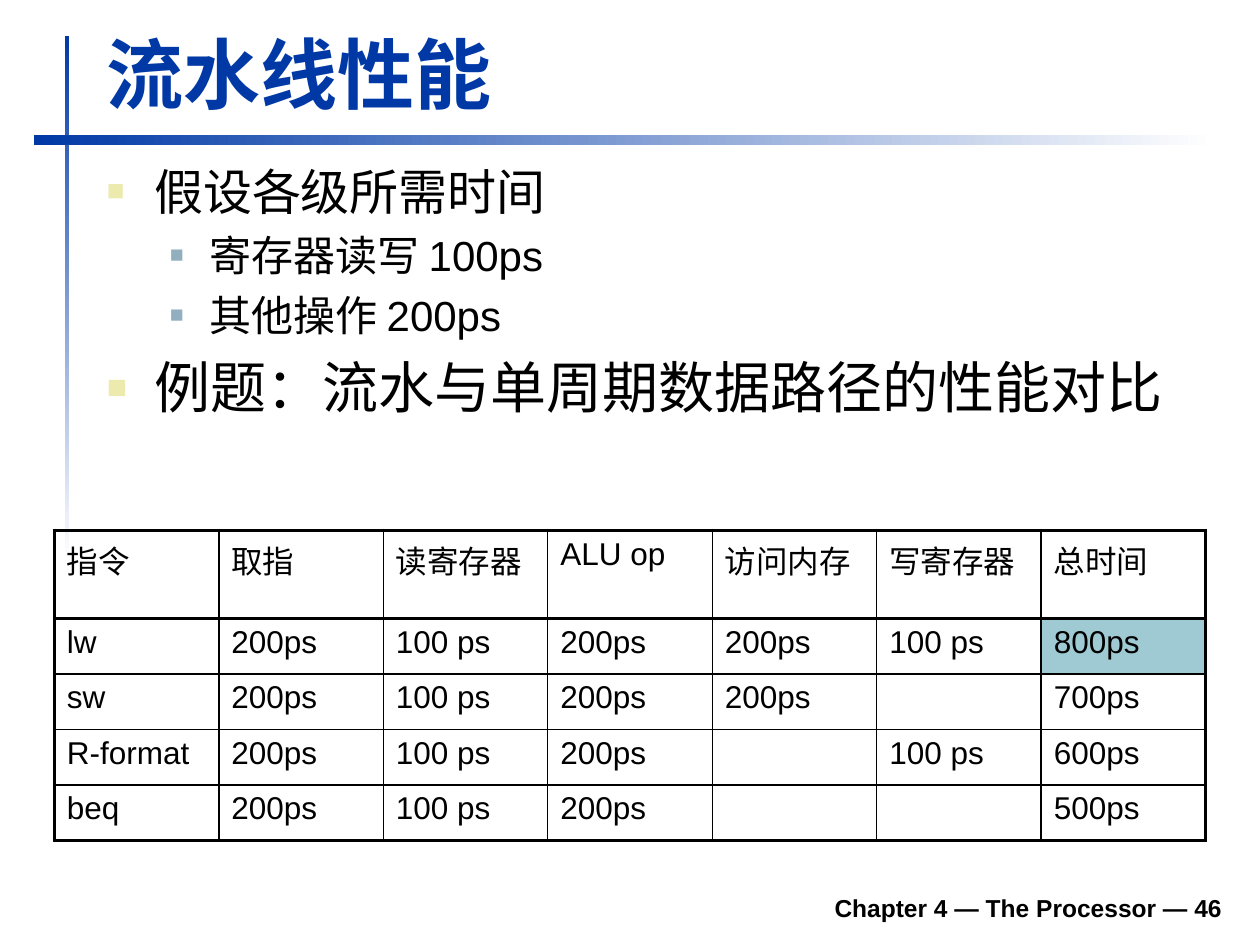
from pptx import Presentation
from pptx.dml.color import RGBColor
from pptx.enum import shapes, text
from pptx.oxml import parse_xml
from pptx.oxml.ns import nsdecls
from pptx.util import Pt

HUES = {"blue": "0039A6", "white": "FFFFFF", "black": "000000",
        "sand": "ECEAAC", "steel": "91AFBF", "teal": "9FCAD3"}
FACE = "Arial"

# Bullet levels: left indent, hang, colour, size in percent
LEVELS = [(27, 27, "sand", 60), (58.5, 22.5, "steel", 55)]
POINTS = [
    (0, 28, "假设各级所需时间"),
    (1, 24, "寄存器读写 100ps"),
    (1, 24, "其他操作 200ps"),
    (0, 32, "例题：流水与单周期数据路径的性能对比"),
]
ROWS = [
    ["指令", "取指", "读寄存器", "ALU op", "访问内存", "写寄存器", "总时间"],
    ["lw", "200ps", "100 ps", "200ps", "200ps", "100 ps", "800ps"],
    ["sw", "200ps", "100 ps", "200ps", "200ps", "", "700ps"],
    ["R-format", "200ps", "100 ps", "200ps", "", "100 ps", "600ps"],
    ["beq", "200ps", "100 ps", "200ps", "", "", "500ps"],
]


def color(name):
    return RGBColor.from_string(HUES[name])


def style(par, size, hue="black", bold=False):
    par.font.name = FACE
    par.font.size = Pt(size)
    par.font.bold = bold
    par.font.color.rgb = color(hue)


def add_bar(slide, box, angle):
    """Thin bar that fades from blue to white."""
    bar = slide.shapes.add_shape(shapes.MSO_SHAPE.RECTANGLE, *map(Pt, box))
    bar.shadow.inherit = False
    bar.line.fill.background()
    bar.fill.gradient()
    bar.fill.gradient_angle = angle
    for stop, hue, pos in zip(bar.fill.gradient_stops, ("blue", "white"), (0, 1)):
        stop.color.rgb = color(hue)
        stop.position = pos


def add_frame(slide, box, anchor):
    frame = slide.shapes.add_textbox(*map(Pt, box)).text_frame
    frame.word_wrap = True
    frame.vertical_anchor = anchor
    return frame


def add_line(slide, box, words, size, hue, align):
    """One bold line that sits at the bottom of its box."""
    par = add_frame(slide, box, text.MSO_ANCHOR.BOTTOM).paragraphs[0]
    par.text = words
    par.alignment = align
    style(par, size, hue, True)


def add_bullet(par, level):
    left, hang, hue, pct = LEVELS[level]
    par.level = level
    props = par._p.get_or_add_pPr()
    props.set("marL", str(Pt(left)))
    props.set("indent", str(-Pt(hang)))
    for xml in (f'<a:buClr {nsdecls("a")}><a:srgbClr val="{HUES[hue]}"/></a:buClr>',
                f'<a:buSzPct {nsdecls("a")} val="{pct * 1000}"/>',
                f'<a:buFont {nsdecls("a")} typeface="{FACE}"/>',
                f'<a:buChar {nsdecls("a")} char="■"/>'):
        props.append(parse_xml(xml))


def add_list(slide, box):
    frame = add_frame(slide, box, text.MSO_ANCHOR.TOP)
    for i, (level, size, words) in enumerate(POINTS):
        par = frame.add_paragraph() if i else frame.paragraphs[0]
        par.text = words
        add_bullet(par, level)
        if i:
            par.space_before = Pt(round(size * 0.23, 1))
        style(par, size)


def add_edges(cell, row, col):
    """Thick outer frame, medium rule under the header, thin lines elsewhere."""
    last_row, last_col = len(ROWS) - 1, len(ROWS[0]) - 1
    widths = {
        "L": 1 if col else 2.25,
        "R": 2.25 if col == last_col else 1,
        "T": {0: 2.25, 1: 1.5}.get(row, 1),
        "B": {0: 1.5, last_row: 2.25}.get(row, 1),
    }
    props = cell._tc.get_or_add_tcPr()
    for side, width in widths.items():
        props.append(parse_xml(
            f'<a:ln{side} {nsdecls("a")} w="{Pt(width)}"><a:solidFill>'
            f'<a:srgbClr val="{HUES["black"]}"/></a:solidFill></a:ln{side}>'))


def add_grid(slide, box):
    table = slide.shapes.add_table(len(ROWS), len(ROWS[0]), *map(Pt, box)).table
    table.first_row = table.horz_banding = False
    for col in table.columns:
        col.width = Pt(box[2] / len(ROWS[0]))
    for r, row in enumerate(ROWS):
        table.rows[r].height = Pt(31.7 if r else 50.4)
        for c, words in enumerate(row):
            cell = table.cell(r, c)
            cell.text = words
            style(cell.text_frame.paragraphs[0], 18)
            add_edges(cell, r, c)
            if words == "800ps":
                cell.fill.solid()
                cell.fill.fore_color.rgb = color("teal")
            else:
                cell.fill.background()


def main():
    deck = Presentation()
    deck.slide_width, deck.slide_height = Pt(720), Pt(540)
    slide = deck.slides.add_slide(deck.slide_layouts[6])

    # Crossed bars
    add_bar(slide, (37, 20.5, 2.5, 300), 270)
    add_bar(slide, (19.5, 77, 675, 6), 0)

    # Footer and title
    add_line(slide, (133, 502.5, 572.5, 28), "Chapter 4 — The Processor — 46",
             14, "black", text.PP_ALIGN.RIGHT)
    add_line(slide, (54, 11.5, 650, 60), "流水线性能",
             44, "blue", text.PP_ALIGN.LEFT)

    # Assumptions and stage times
    add_list(slide, (54, 88.5, 651.5, 199.5))
    add_grid(slide, (31, 303, 658, 177))

    deck.save("out.pptx")


if __name__ == "__main__":
    main()
